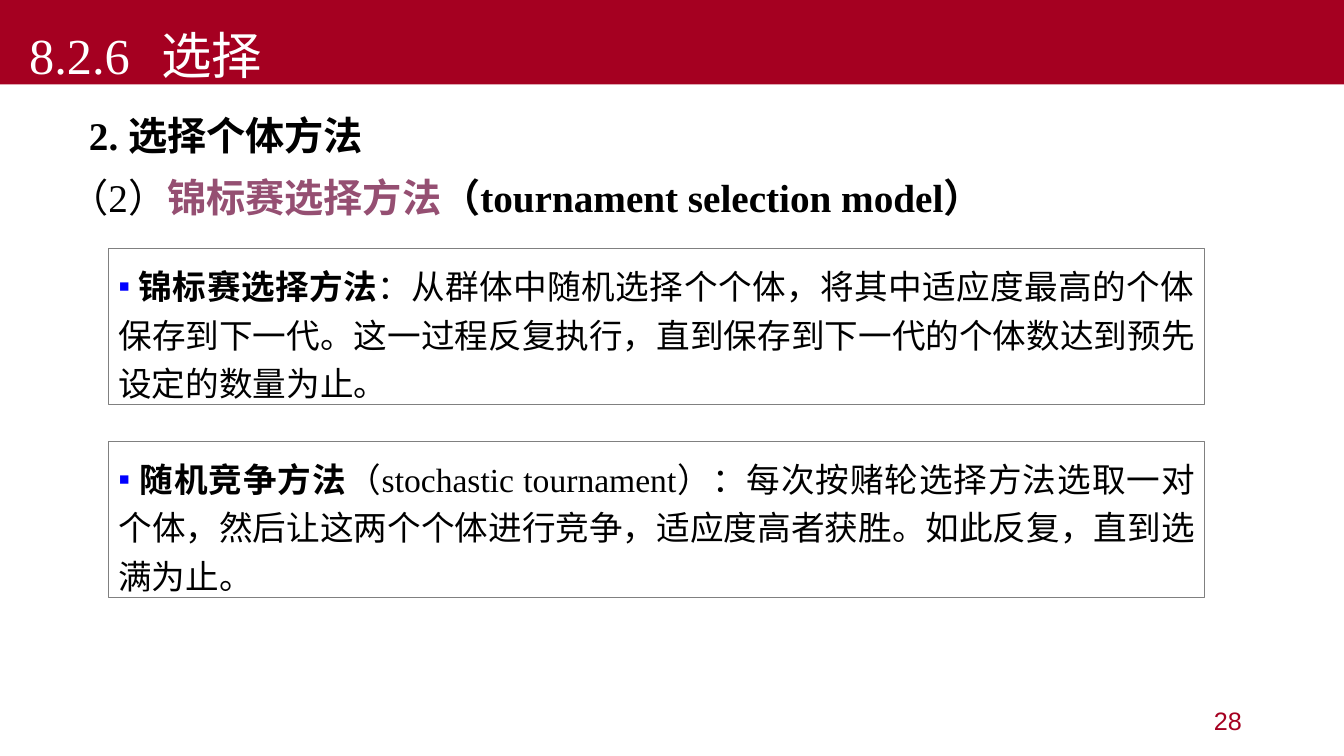
"""Build the slide on tournament selection of individuals."""
from dataclasses import dataclass

from lxml import etree
from pptx import Presentation
from pptx.dml.color import RGBColor
from pptx.enum.shapes import MSO_SHAPE
from pptx.enum.text import MSO_ANCHOR, PP_ALIGN
from pptx.oxml.ns import qn
from pptx.util import Pt

RECTANGLE = MSO_SHAPE.RECTANGLE
TOP, MIDDLE, BOTTOM = MSO_ANCHOR.TOP, MSO_ANCHOR.MIDDLE, MSO_ANCHOR.BOTTOM
LEFT, RIGHT, JUSTIFY = PP_ALIGN.LEFT, PP_ALIGN.RIGHT, PP_ALIGN.JUSTIFY


@dataclass(frozen=True)
class Theme:
    red: str = "A50021"
    white: str = "FFFFFF"
    black: str = "000000"
    purple: str = "954F72"
    gray: str = "808080"
    blue: str = "0000FF"
    serif: str = "Times New Roman"
    sans: str = "Arial"
    chinese: str = "Noto Sans CJK SC"
    title: int = 36
    heading: int = 28
    body: int = 24
    number: int = 18


theme = Theme()


def add_box(page, bounds, anchor, fill=None, line=None, inset=(3.6, 3.6)):
    """Add a rectangle with optional fill and outline."""
    box = page.shapes.add_shape(RECTANGLE, *[Pt(value) for value in bounds])
    box.shadow.inherit = False
    if fill:
        box.fill.solid()
        box.fill.fore_color.rgb = RGBColor.from_string(fill)
    else:
        box.fill.background()
    if line:
        box.line.color.rgb = RGBColor.from_string(line)
        box.line.width = Pt(0.75)
    else:
        box.line.fill.background()
    frame = box.text_frame
    frame.word_wrap = True
    frame.vertical_anchor = anchor
    frame.margin_left = frame.margin_right = Pt(7.2)
    frame.margin_top, frame.margin_bottom = Pt(inset[0]), Pt(inset[1])
    return frame


def write(paragraph, spans, size, align=LEFT, spacing=None):
    """Write spans of text, font, colour and weight into a paragraph."""
    paragraph.alignment = align
    if spacing:
        paragraph.line_spacing = Pt(spacing)
    for text, font, color, bold in spans:
        span = paragraph.add_run()
        span.text = text
        span.font.name = font
        span.font.size = Pt(size)
        span.font.bold = bold
        span.font.color.rgb = RGBColor.from_string(color)
        east_asian = etree.SubElement(span.font._element, qn("a:ea"))
        east_asian.set("typeface", theme.chinese)


deck = Presentation()
deck.slide_width, deck.slide_height = Pt(960), Pt(540)
page = deck.slides.add_slide(deck.slide_layouts[6])

headings = add_box(page, (42.5, 77, 852.5, 437.8), TOP, inset=(5.8, 3.6))
write(headings.paragraphs[0],
      [("2. 选择个体方法", theme.serif, theme.black, True)],
      theme.heading, spacing=30.2)
headings.paragraphs[0]._p.get_or_add_pPr().set("marL", str(Pt(14)))
method = headings.add_paragraph()
write(method,
      [("（2）", theme.serif, theme.black, False),
       ("锦标赛选择方法", theme.serif, theme.purple, True),
       ("（tournament selection model）", theme.serif, theme.black, True)],
      theme.heading, spacing=30.2)
method.space_before = Pt(14)

number = add_box(page, (678.2, 500.4, 216, 28.8), MIDDLE)
write(number.paragraphs[0], [("28", theme.sans, theme.red, False)],
      theme.number, RIGHT)

definitions = [
    (177.6, theme.chinese, "锦标赛选择方法",
     "：从群体中随机选择个个体，将其中适应度最高的个体保存到下一代。"
     "这一过程反复执行，直到保存到下一代的个体数达到预先设定的数量为止。"),
    (315.4, theme.serif, "随机竞争方法",
     "（stochastic tournament）：每次按赌轮选择方法选取一对个体，"
     "然后让这两个个体进行竞争，适应度高者获胜。如此反复，直到选满为止。"),
]
for top, font, term, meaning in definitions:
    definition = add_box(page, (77.5, top, 783, 111.6), BOTTOM,
                         theme.white, theme.gray, (3.6, 1.2))
    paragraph = definition.paragraphs[0]
    write(paragraph,
          [(" ", font, theme.black, False),
           (term, font, theme.black, True),
           (meaning, font, theme.black, False)],
          theme.body, JUSTIFY, 34.6)
    properties = paragraph._p.get_or_add_pPr()
    bullet_color = etree.SubElement(properties, qn("a:buClr"))
    etree.SubElement(bullet_color, qn("a:srgbClr")).set("val", theme.blue)
    etree.SubElement(properties, qn("a:buFont")).set("typeface", theme.sans)
    etree.SubElement(properties, qn("a:buChar")).set("char", "▪")

title = add_box(page, (0, 0, 960, 60.3), BOTTOM, theme.red, inset=(3.6, 0.2))
write(title.paragraphs[0],
      [("8.2.6\t选择", theme.serif, theme.white, False)], theme.title)
properties = title.paragraphs[0]._p.get_or_add_pPr()
properties.set("marL", "0")
properties.set("indent", str(Pt(13.7)))
tabs = etree.SubElement(properties, qn("a:tabLst"))
tab = etree.SubElement(tabs, qn("a:tab"))
tab.set("pos", str(Pt(111)))
tab.set("algn", "l")

deck.save("out.pptx")
